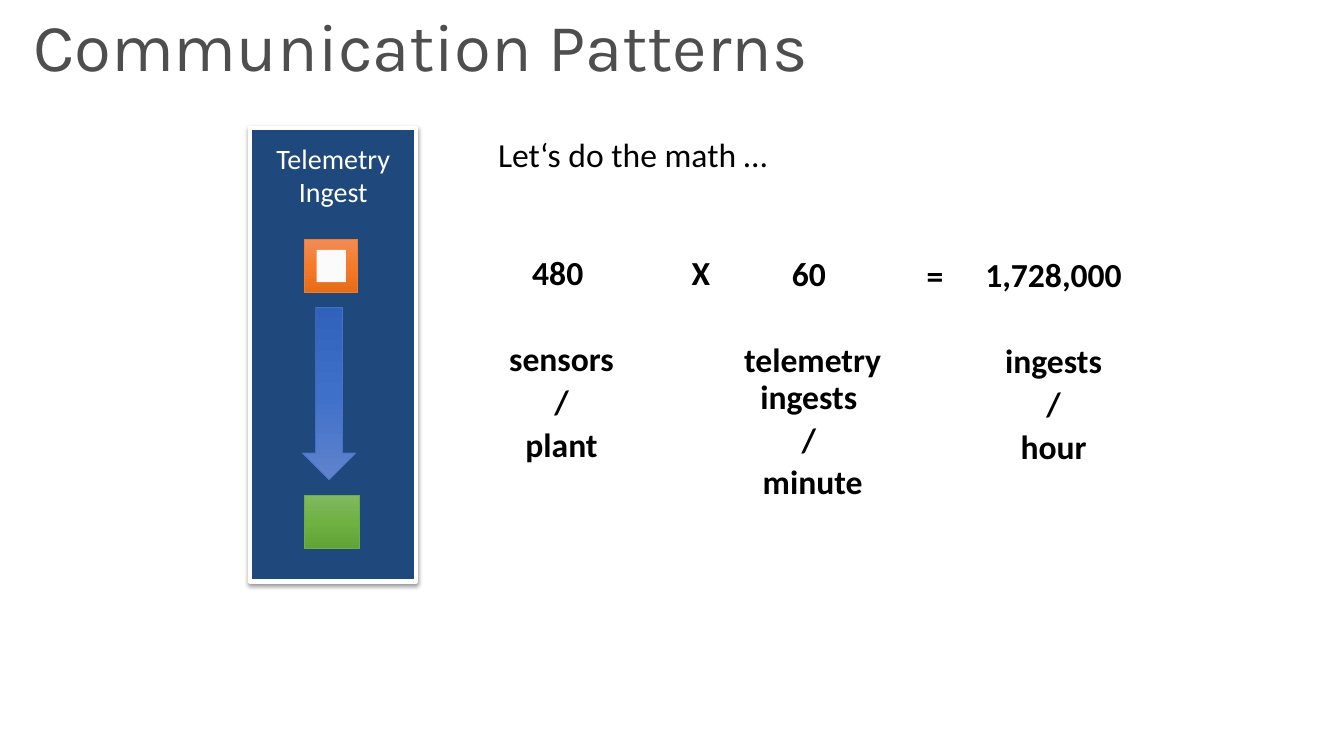
"""Build the telemetry ingest slide of the communication patterns deck."""
from dataclasses import dataclass
from typing import NamedTuple

from lxml.etree import SubElement
from pptx import Presentation
from pptx.dml.color import RGBColor
from pptx.enum.shapes import MSO_SHAPE as Preset
from pptx.enum.text import MSO_ANCHOR as Anchor, MSO_AUTO_SIZE as AutoSize, PP_ALIGN as Align
from pptx.oxml.ns import qn
from pptx.util import Emu, Pt

EMU_PER_PX = 9144


def px(length: int) -> Emu:
    """Turn px (a hundredth of an inch) into EMU."""
    return Emu(length * EMU_PER_PX)


@dataclass(frozen=True)
class Theme:
    """Hold the colours, fonts and type sizes of the slide."""
    title: str = "4E4E4E"
    ink: str = "000000"
    white: str = "FFFFFF"
    panel: str = "1F497D"
    chip_mark: str = "FBFBFB"
    orange: tuple = ("F18C57", "F67B28", "E56C19")
    orange_edge: str = "ED7D31"
    green: tuple = ("81B861", "6FB242", "62A336")
    green_edge: str = "70AD47"
    blue: tuple = ("3062BB", "3E70CA", "6183CB")
    blue_edge: str = "4472C4"
    title_font: str = "Karla"
    body_font: str = "Calibri"
    title_size: int = 48
    body_size: int = 24
    label_size: int = 20


THEME = Theme()


class Box(NamedTuple):
    """Give a rectangle in px."""
    left: int
    top: int
    width: int
    height: int


class Insets(NamedTuple):
    """Give text margins in px."""
    left: int = 27
    top: int = 10
    right: int = 16
    bottom: int = 10


class Step(NamedTuple):
    """Describe one gradient-filled part of the ingest flow."""
    preset: Preset
    box: Box
    shades: tuple
    edge: str


class Term(NamedTuple):
    """Describe one term of the equation, with its unit lines below."""
    box: Box
    value: str
    unit: tuple = ()
    align: Align = Align.CENTER
    bold: bool = True


FLOW = (
    Step(Preset.RECTANGLE, Box(302, 237, 53, 53), THEME.orange, THEME.orange_edge),
    Step(Preset.RECTANGLE, Box(302, 491, 54, 53), THEME.green, THEME.green_edge),
    Step(Preset.DOWN_ARROW, Box(300, 305, 53, 171), THEME.blue, THEME.blue_edge),
)

EQUATION = (
    Term(Box(467, 127, 344, 57), "Let‘s do the math …", align=Align.LEFT, bold=False),
    Term(Box(450, 244, 203, 323), "480 ", ("sensors", "/", "plant")),
    Term(Box(659, 244, 58, 145), "X"),
    Term(Box(684, 245, 233, 359), "60 ", ("telemetry ingests ", "/ ", "minute")),
    Term(Box(892, 247, 58, 57), "="),
    Term(Box(926, 246, 227, 323), "1,728,000", ("ingests", "/", "hour")),
)

UNIT_GAP = Pt(36)
LINE_GAP = Pt(4.8)


def apply(target: object, values: dict) -> None:
    """Set each named attribute on the target."""
    for name, value in values.items():
        setattr(target, name, value)


def place(box: Box) -> tuple:
    """Turn a box into EMU lengths."""
    return tuple(px(length) for length in box)


def set_frame(frame: object, insets: Insets) -> None:
    """Format a text frame."""
    apply(frame, {"word_wrap": True, "auto_size": AutoSize.NONE,
                  "vertical_anchor": Anchor.TOP})
    apply(frame, {f"margin_{side}": px(gap) for side, gap in insets._asdict().items()})


def write(frame: object, lines: tuple, font: dict, colour: str, layout: dict) -> None:
    """Write one formatted paragraph for each line."""
    for index, line in enumerate(lines):
        paragraph = frame.paragraphs[0] if index == 0 else frame.add_paragraph()
        paragraph.text = line
        apply(paragraph, layout)
        apply(paragraph.font, font)
        paragraph.font.color.rgb = RGBColor.from_string(colour)


def add_solid(slide: object, box: Box, colour: str) -> object:
    """Add a plain rectangle without outline or shadow."""
    shape = slide.shapes.add_shape(Preset.RECTANGLE, *place(box))
    shape.shadow.inherit = False
    shape.fill.solid()
    shape.fill.fore_color.rgb = RGBColor.from_string(colour)
    shape.line.fill.background()
    return shape


def add_panel(slide: object) -> None:
    """Add the labelled panel behind the flow."""
    panel = add_solid(slide, Box(248, 127, 165, 450), THEME.panel)
    panel.line.color.rgb = RGBColor.from_string(THEME.white)
    panel.line.width = Pt(3)
    effects = panel._element.spPr.find(qn("a:effectLst"))
    shadow = SubElement(effects, qn("a:outerShdw"), blurRad=str(Pt(3.1)),
                        dist=str(Pt(1.6)), dir="5400000", rotWithShape="0")
    tint = SubElement(shadow, qn("a:srgbClr"), val=THEME.ink)
    SubElement(tint, qn("a:alpha"), val="38000")
    set_frame(panel.text_frame, Insets(10, 13, 10, 5))
    write(panel.text_frame, ("Telemetry", "Ingest"),
          {"name": THEME.body_font, "size": Pt(THEME.label_size)},
          THEME.white, {"alignment": Align.CENTER})


def add_step(slide: object, step: Step) -> None:
    """Add one flow part with a three-stop vertical gradient."""
    shape = slide.shapes.add_shape(step.preset, *place(step.box))
    shape.shadow.inherit = False
    shape.fill.gradient()
    shape.fill.gradient_angle = 270
    stops = shape._element.spPr.find(".//" + qn("a:gsLst"))
    stops.clear()
    for index, shade in enumerate(step.shades):
        stop = SubElement(stops, qn("a:gs"), pos=str(index * 50000))
        SubElement(stop, qn("a:srgbClr"), val=shade)
    shape.line.color.rgb = RGBColor.from_string(step.edge)
    shape.line.width = Pt(0.5)


def add_term(slide: object, term: Term) -> None:
    """Add one equation term."""
    frame = slide.shapes.add_textbox(*place(term.box)).text_frame
    set_frame(frame, Insets())
    write(frame, (term.value, *term.unit),
          {"name": THEME.body_font, "size": Pt(THEME.body_size), "bold": term.bold},
          THEME.ink, {"alignment": term.align, "line_spacing": 0.9})
    for index, paragraph in enumerate(frame.paragraphs[1:]):
        paragraph.space_before = LINE_GAP if index else UNIT_GAP


def add_title(slide: object) -> None:
    """Move and format the title placeholder."""
    title = slide.shapes.title
    apply(title, dict(zip(Box._fields, place(Box(33, 13, 1113, 73)))))
    set_frame(title.text_frame, Insets(0, 0, 0, 0))
    write(title.text_frame, ("Communication Patterns",),
          {"name": THEME.title_font, "size": Pt(THEME.title_size)},
          THEME.title, {"alignment": Align.LEFT, "line_spacing": 0.9})


def main() -> None:
    """Build and save the deck."""
    deck = Presentation()
    apply(deck, {"slide_width": px(1333), "slide_height": px(750)})
    slide = deck.slides.add_slide(deck.slide_layouts.get_by_name("Title Only"))
    add_title(slide)
    add_panel(slide)
    for step in FLOW:
        add_step(slide, step)
    add_solid(slide, Box(314, 248, 29, 32), THEME.chip_mark)
    for term in EQUATION:
        add_term(slide, term)
    deck.save("out.pptx")


if __name__ == "__main__":
    main()
